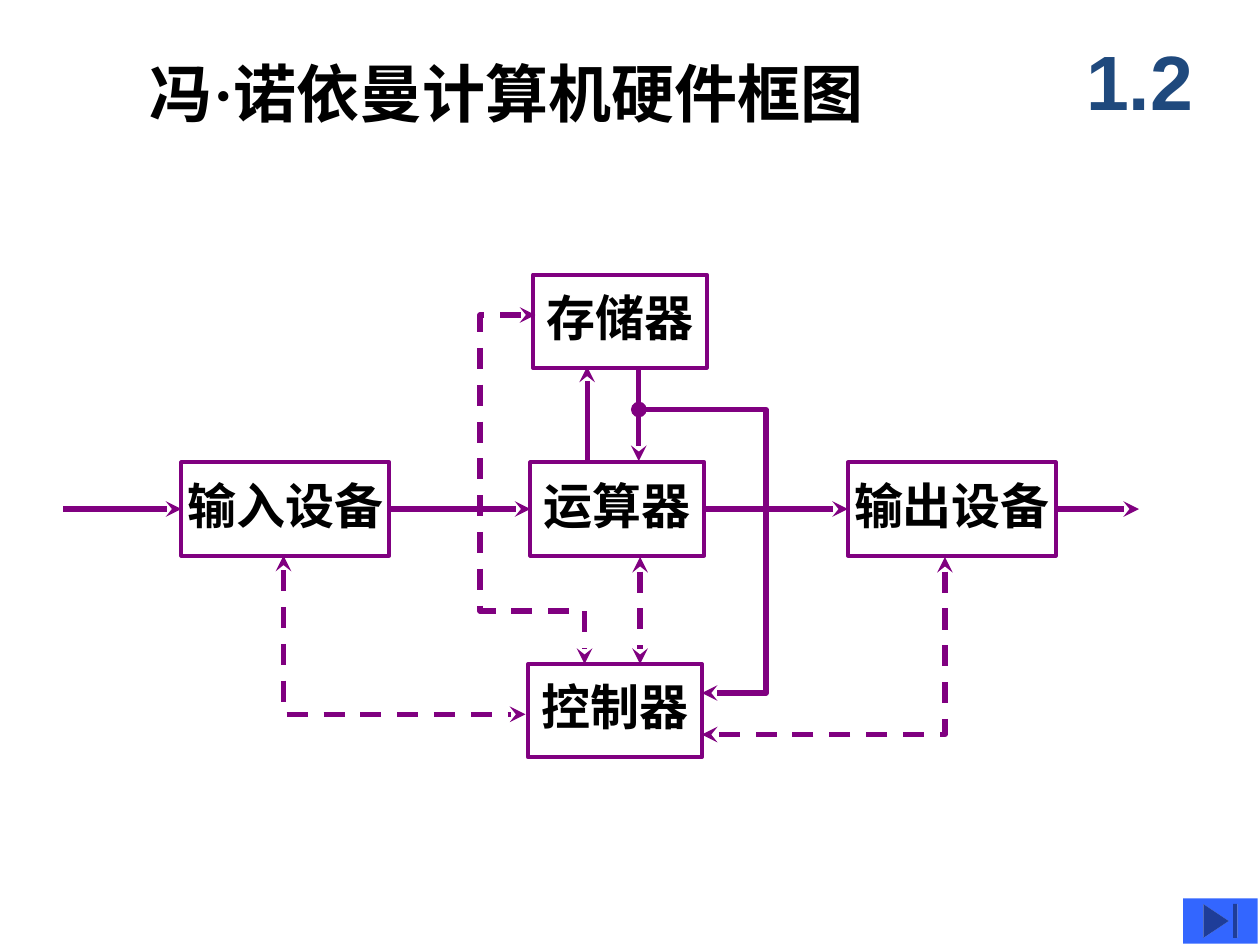
from lxml.etree import SubElement
from pptx import Presentation
from pptx.dml.color import RGBColor
from pptx.enum.dml import MSO_LINE
from pptx.enum.shapes import MSO_CONNECTOR, MSO_SHAPE
from pptx.enum.text import MSO_ANCHOR, MSO_AUTO_SIZE, PP_ALIGN
from pptx.oxml.ns import qn
from pptx.util import Inches, Pt

PURPLE = "800080"
CJK = "Noto Sans CJK SC"
LEFT, RIGHT = 1, 3  # connection sites of a rectangle
BOX_HEIGHT = 0.74


def color(hex_text):
    return RGBColor.from_string(hex_text)


def write(shape, text, size, font=CJK, fill="000000", align=PP_ALIGN.CENTER,
          wrap=True, insets=(0.1, 0.05, 0.1, 0.05)):
    """Write bold text; text is a string or a list of (text, font) pairs."""
    frame = shape.text_frame
    frame.auto_size = MSO_AUTO_SIZE.NONE
    frame.word_wrap = wrap
    frame.vertical_anchor = MSO_ANCHOR.MIDDLE
    (frame.margin_left, frame.margin_top,
     frame.margin_right, frame.margin_bottom) = map(Inches, insets)
    para = frame.paragraphs[0]
    para.alignment = align
    for words, name in [(text, font)] if isinstance(text, str) else text:
        span = para.add_run()
        span.text = words
        span.font.name = name
        span.font.size = Pt(size)
        span.font.bold = True
        span.font.color.rgb = color(fill)
        SubElement(span.font._element, qn("a:ea"), typeface=name)


def style_line(shape, head=None, tail="stealth", dashed=False):
    shape.line.color.rgb = color(PURPLE)
    shape.line.width = Pt(3)
    if dashed:
        shape.line.dash_style = MSO_LINE.DASH
    outline = shape.element.spPr.find(qn("a:ln"))
    for tag, kind in (("a:headEnd", head), ("a:tailEnd", tail)):
        if kind:
            SubElement(outline, qn(tag), type=kind)


def add_arrow(page, start, end, **ends):
    """Straight arrow; each end is a point or a (box, site) to join."""
    points = [end_ if isinstance(end_[0], int) else (0, 0) for end_ in (start, end)]
    arrow = page.shapes.add_connector(MSO_CONNECTOR.STRAIGHT, *points[0], *points[1])
    if not isinstance(start[0], int):
        arrow.begin_connect(*start)
    if not isinstance(end[0], int):
        arrow.end_connect(*end)
    style_line(arrow, **ends)
    SubElement(arrow.element.spPr, qn("a:effectLst"))


def add_route(page, points, **ends):
    """Bent arrow through the points."""
    builder = page.shapes.build_freeform(*points[0])
    builder.add_line_segments(points[1:], close=False)
    route = builder.convert_to_shape()
    route.fill.background()
    route.shadow.inherit = False
    style_line(route, **ends)


def add_unit(page, name, left, top, width):
    unit = page.shapes.add_shape(MSO_SHAPE.RECTANGLE, left, top,
                                 Inches(width), Inches(BOX_HEIGHT))
    unit.shadow.inherit = False
    unit.fill.background()
    unit.line.color.rgb = color(PURPLE)
    unit.line.width = Pt(2.25)
    write(unit, name, 28, wrap=False, insets=(0, 0, 0, 0.07))
    return unit


def add_header(page, left, top):
    title = page.shapes.title
    title.left, title.top = left, top + Inches(0.21)
    title.width, title.height = Inches(6.51), Inches(0.7)
    write(title, [("冯", CJK), ("·", "Times New Roman"), ("诺依曼计算机硬件框图", CJK)],
          36, align=PP_ALIGN.LEFT)
    section = page.shapes.add_textbox(left + Inches(7.33), top, Inches(1.25), Inches(0.92))
    write(section, "1.2", 44, font="Arial", fill="1F497D")


def add_diagram(page, left, top):
    def at(x, y):
        return left + Inches(x), top + Inches(y)

    units = {
        name: add_unit(page, name, *at(x, y), width)
        for name, x, y, width in (
            ("存储器", 3.73, 0, 1.38),
            ("输入设备", 0.94, 1.49, 1.65),
            ("运算器", 3.71, 1.49, 1.38),
            ("控制器", 3.69, 3.09, 1.38),
            ("输出设备", 6.23, 1.49, 1.65),
        )
    }

    control = {"head": "stealth", "dashed": True}
    control_routes = (
        ((1.75, 2.23), (1.75, 3.49), (3.67, 3.49)),
        ((3.75, 0.32), (3.31, 0.32), (3.31, 2.67), (4.14, 2.67), (4.14, 3.09)),
        ((7, 2.24), (7, 3.65), (5.07, 3.65)),
    )
    for route in control_routes:
        add_route(page, [at(*point) for point in route], **control)
    add_arrow(page, at(4.58, 2.24), at(4.58, 3.09), **control)

    add_arrow(page, at(4.16, 1.49), at(4.16, 0.73))
    add_arrow(page, at(4.57, 0.74), at(4.57, 1.48))
    instructions = ((4.57, 1.07), (5.58, 1.07), (5.58, 3.32), (5.07, 3.32))
    add_route(page, [at(*point) for point in instructions], head="oval")

    middle = 1.49 + BOX_HEIGHT / 2
    chain = [units[name] for name in ("输入设备", "运算器", "输出设备")]
    add_arrow(page, at(0, middle), (chain[0], LEFT))
    for source, target in zip(chain, chain[1:]):
        add_arrow(page, (source, RIGHT), (target, LEFT))
    add_arrow(page, (chain[-1], RIGHT), at(8.54, middle))


def add_end_button(page, left, top):
    button = page.shapes.add_shape(MSO_SHAPE.ACTION_BUTTON_END, left, top,
                                   Inches(0.59), Inches(0.36))
    button.shadow.inherit = False
    button.fill.solid()
    button.fill.fore_color.rgb = color("3366FF")
    button.line.fill.background()


def main():
    deck = Presentation()
    deck.slide_width, deck.slide_height = Inches(10), Inches(7.5)
    page = deck.slides.add_slide(deck.slide_layouts[5])
    add_header(page, Inches(1.09), Inches(0.17))
    add_diagram(page, Inches(0.5), Inches(2.18))
    add_end_button(page, Inches(9.39), Inches(7.13))
    deck.save("out.pptx")


if __name__ == "__main__":
    main()
